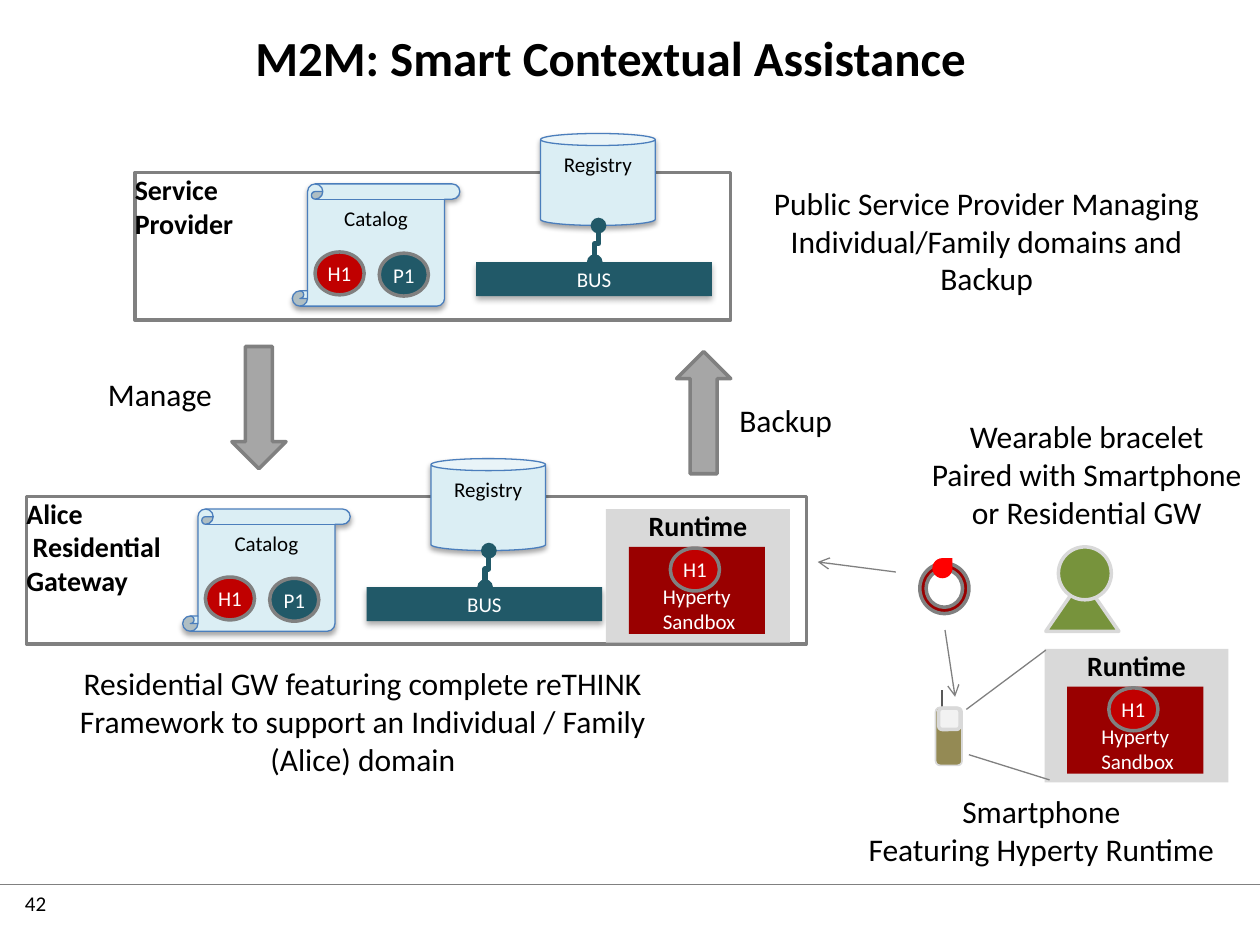
from typing import NamedTuple, Optional

from lxml import etree
from pptx import Presentation, util as u
from pptx.dml.color import RGBColor
from pptx.enum import shapes as sh, text as tx
from pptx.oxml.ns import qn

BLACK = RGBColor(0x00, 0x00, 0x00)
WHITE = RGBColor(0xFF, 0xFF, 0xFF)
GREY = RGBColor(0x80, 0x80, 0x80)
LIGHT_GREY = RGBColor(0xD9, 0xD9, 0xD9)
ARROW_GREY = RGBColor(0xA6, 0xA6, 0xA6)
DARK_GREY = RGBColor(0x59, 0x59, 0x59)
SCREEN = RGBColor(0xF2, 0xF2, 0xF2)
TEAL = RGBColor(0x21, 0x59, 0x68)
PALE_BLUE = RGBColor(0xDB, 0xEE, 0xF4)
BLUE = RGBColor(0x4B, 0x7E, 0xBC)
RED = RGBColor(0xC0, 0x00, 0x00)
DARK_RED = RGBColor(0x99, 0x00, 0x00)
BRIGHT_RED = RGBColor(0xFF, 0x00, 0x00)
GREEN = RGBColor(0x77, 0x93, 0x3C)
OLIVE = RGBColor(0x94, 0x8A, 0x54)

SHAPE = sh.MSO_SHAPE
ALIGN = tx.PP_ALIGN
ANCHOR = tx.MSO_ANCHOR


class Box(NamedTuple):
    left: float
    top: float
    width: float
    height: float


class Label(NamedTuple):
    text: str
    size: int = 12
    color: RGBColor = WHITE
    bold: bool = False
    align: ALIGN = ALIGN.CENTER
    anchor: ANCHOR = ANCHOR.MIDDLE
    tight: bool = True


class Shadow(NamedTuple):
    alpha: int
    blur: float
    distance: float


class Domain(NamedTuple):
    name: str
    frame: Box
    left: float  # corner of the catalog, which places the other parts
    top: float


class Note(NamedTuple):
    text: str
    box: Box
    align: ALIGN = ALIGN.CENTER


BUS_SHADOW = Shadow(32, 3.5, 2.2)
SOFT_SHADOW = Shadow(35, 3.1, 1.8)

DOMAINS = [
    Domain("Alice \v Residential\nGateway", Box(0.21, 3.94, 6.19, 1.17), 1.45, 4.04),
    Domain("Service\nProvider", Box(1.07, 1.37, 4.73, 1.17), 2.32, 1.46),
]
NOTES = [
    Note("Wearable bracelet\nPaired with Smartphone\nor Residential GW", Box(7.25, 3.26, 2.75, 1.01)),
    Note("Smartphone\nFeaturing Hyperty Runtime", Box(6.53, 6.24, 3.47, 0.71)),
    Note("Residential GW featuring complete reTHINK Framework to support an "
         "Individual / Family\n(Alice) domain", Box(0, 5.22, 5.76, 1.01)),
    Note("Backup", Box(5.77, 3.13, 1.33, 0.4), ALIGN.LEFT),
    Note("Manage", Box(0.45, 2.93, 1.33, 0.4), ALIGN.RIGHT),
    Note("Public Service Provider Managing Individual/Family domains and Backup",
         Box(5.97, 1.41, 3.72, 1.01)),
]


def write(frame, label: Label) -> None:
    """Fill a text frame; \\n starts a paragraph and \\v a line."""
    frame.vertical_anchor = label.anchor
    if label.tight:
        frame.margin_left = frame.margin_right = frame.margin_top = frame.margin_bottom = 0
    for i, content in enumerate(label.text.split("\n")):
        paragraph = frame.add_paragraph() if i else frame.paragraphs[0]
        paragraph.alignment = label.align
        for j, line in enumerate(content.split("\v")):
            if j:
                paragraph.add_line_break()
            run = paragraph.add_run()
            run.text = line
            run.font.name = "Calibri"
            run.font.size = u.Pt(label.size)
            run.font.bold = label.bold
            run.font.color.rgb = label.color


def add_shape(slide, kind: SHAPE, box: Box, fill: Optional[RGBColor],
              line: Optional[RGBColor] = None, weight: float = 2,
              label: Optional[Label] = None, shadow: Optional[Shadow] = None,
              rotation: float = 0, adjust: Optional[float] = None) -> None:
    shape = slide.shapes.add_shape(kind, *map(u.Inches, box))
    shape.shadow.inherit = False
    shape.rotation = rotation
    if adjust is not None:
        shape.adjustments[0] = adjust
    if fill is None:
        shape.fill.background()
    else:
        shape.fill.solid()
        shape.fill.fore_color.rgb = fill
    if line is None:
        shape.line.fill.background()
    else:
        shape.line.color.rgb = line
        shape.line.width = u.Pt(weight)
    if shadow:
        effects = shape.element.spPr.find(qn("a:effectLst"))
        outer = etree.SubElement(effects, qn("a:outerShdw"), blurRad=str(u.Pt(shadow.blur)),
                                 dist=str(u.Pt(shadow.distance)), dir="5400000", rotWithShape="0")
        color = etree.SubElement(outer, qn("a:srgbClr"), val="000000")
        etree.SubElement(color, qn("a:alpha"), val=str(shadow.alpha * 1000))
    if label:
        shape.text_frame.word_wrap = not label.tight
        write(shape.text_frame, label)


def add_text(slide, box: Box, label: Label) -> None:
    frame = slide.shapes.add_textbox(*map(u.Inches, box)).text_frame
    frame.word_wrap = True
    write(frame, label)


def add_line(slide, x1: float, y1: float, x2: float, y2: float, color: RGBColor = GREY,
             weight: float = 0.75, head: str = "", tail: str = "",
             kind: sh.MSO_CONNECTOR = sh.MSO_CONNECTOR.STRAIGHT):
    line = slide.shapes.add_connector(kind, *map(u.Inches, (x1, y1, x2, y2)))
    line.line.color.rgb = color
    line.line.width = u.Pt(weight)
    for tag, end in (("a:headEnd", head), ("a:tailEnd", tail)):
        if end:
            etree.SubElement(line.line._get_or_add_ln(), qn(tag), type=end)
    etree.SubElement(line.element.spPr, qn("a:effectLst"))
    return line


def add_bus_link(slide, x1: float, y1: float, x2: float, y2: float) -> None:
    """Elbow turned a quarter, so that it leaves and arrives vertically."""
    link = add_line(slide, x1, y1, x2, y2, TEAL, 3, "oval", "oval", sh.MSO_CONNECTOR.ELBOW)
    length, offset = y2 - y1, x1 - x2
    link.left, link.top = u.Inches((x1 + x2 - length) / 2), u.Inches((y1 + y2 - offset) / 2)
    link.width, link.height = u.Inches(length), u.Inches(offset)
    frame = link.element.spPr.find(qn("a:xfrm"))
    frame.attrib.pop("flipH", None)
    frame.set("rot", "5400000")


def add_badge(slide, name: str, left: float, top: float, fill: RGBColor) -> None:
    add_shape(slide, SHAPE.OVAL, Box(left, top, 0.39, 0.34), fill, GREY, label=Label(name))


def add_domain(slide, domain: Domain) -> None:
    x, y = domain.left, domain.top
    add_shape(slide, SHAPE.RECTANGLE, domain.frame, None, GREY,
              label=Label(domain.name, 16, BLACK, True, ALIGN.LEFT, ANCHOR.TOP))
    add_shape(slide, SHAPE.RECTANGLE, Box(x + 1.46, y + 0.62, 1.87, 0.27), TEAL,
              label=Label("BUS"), shadow=BUS_SHADOW)
    add_shape(slide, SHAPE.VERTICAL_SCROLL, Box(x, y, 1.33, 0.97), PALE_BLUE, BLUE, 0.75,
              Label("Catalog", color=BLACK, anchor=ANCHOR.TOP, tight=False), SOFT_SHADOW)
    add_badge(slide, "H1", x + 0.18, y + 0.54, RED)
    add_shape(slide, SHAPE.CAN, Box(x + 1.97, y - 0.4, 0.91, 0.73), PALE_BLUE, BLUE, 0.75,
              Label("Registry", color=BLACK, anchor=ANCHOR.TOP, tight=False), SOFT_SHADOW,
              adjust=0.131)
    add_bus_link(slide, x + 2.43, y + 0.33, x + 2.4, y + 0.62)
    add_badge(slide, "P1", x + 0.69, y + 0.55, TEAL)


def add_runtime(slide, x: float, y: float) -> None:
    add_shape(slide, SHAPE.RECTANGLE, Box(x, y, 1.46, 1.06), LIGHT_GREY,
              label=Label("Runtime", 16, BLACK, True, anchor=ANCHOR.TOP))
    add_shape(slide, SHAPE.RECTANGLE, Box(x + 0.18, y + 0.3, 1.08, 0.69), DARK_RED,
              label=Label("Hyperty\v Sandbox", anchor=ANCHOR.BOTTOM))
    add_badge(slide, "H1", x + 0.51, y + 0.31, RED)


def add_phone(slide) -> None:
    add_shape(slide, SHAPE.MATH_MINUS, Box(7.35, 5.53, 0.25, 0.08), DARK_GREY, rotation=90)
    add_shape(slide, SHAPE.ROUNDED_RECTANGLE, Box(7.45, 5.87, 0.17, 0.17), DARK_GREY)
    add_shape(slide, SHAPE.ROUNDED_RECTANGLE, Box(7.3, 5.74, 0.46, 0.21), OLIVE, LIGHT_GREY, 1,
              rotation=90)
    add_shape(slide, SHAPE.ROUNDED_RECTANGLE, Box(7.45, 5.62, 0.17, 0.17), SCREEN, LIGHT_GREY)


def main() -> None:
    deck = Presentation()
    deck.slide_width, deck.slide_height = u.Inches(10), u.Inches(7.5)
    slide = deck.slides.add_slide(deck.slide_layouts[5])

    title = slide.shapes.title
    title.left, title.top, title.width, title.height = map(u.Inches, (0.91, 0.19, 7.87, 0.52))
    write(title.text_frame, Label("M2M: Smart Contextual Assistance", 28, BLACK, True, tight=False))
    add_text(slide, Box(0.1, 7.02, 0.8, 0.4),
             Label("42", 12, BLACK, align=ALIGN.LEFT, anchor=ANCHOR.TOP, tight=False))
    add_line(slide, 0, 7.02, 10, 7.02)

    # Alice and her bracelet
    add_shape(slide, SHAPE.ISOSCELES_TRIANGLE, Box(8.3, 4.59, 0.58, 0.42), GREEN, LIGHT_GREY)
    add_shape(slide, SHAPE.OVAL, Box(8.4, 4.34, 0.42, 0.42), GREEN, LIGHT_GREY)
    add_shape(slide, SHAPE.DONUT, Box(7.3, 4.47, 0.39, 0.4), DARK_RED, GREY, adjust=0.129)
    add_shape(slide, SHAPE.TEAR, Box(7.4, 4.43, 0.16, 0.16), BRIGHT_RED)

    for domain in DOMAINS:
        add_domain(slide, domain)
    add_runtime(slide, 4.81, 4.04)

    add_phone(slide)
    add_runtime(slide, 8.29, 5.15)
    add_line(slide, 7.67, 5.63, 8.3, 5.16)
    add_line(slide, 7.69, 5.99, 8.33, 6.19)
    add_line(slide, 7.5, 5, 7.58, 5.53, tail="arrow")
    add_line(slide, 7.11, 4.54, 6.49, 4.46, tail="arrow")

    for left, top, rotation in ((5.37, 2.79, 0), (1.84, 2.75, 180)):
        add_shape(slide, SHAPE.UP_ARROW, Box(left, top, 0.43, 0.97), ARROW_GREY, GREY,
                  rotation=rotation)
    for note in NOTES:
        add_text(slide, note.box, Label(note.text, 18, BLACK, align=note.align,
                                        anchor=ANCHOR.TOP, tight=False))
    deck.save("out.pptx")


if __name__ == "__main__":
    main()
